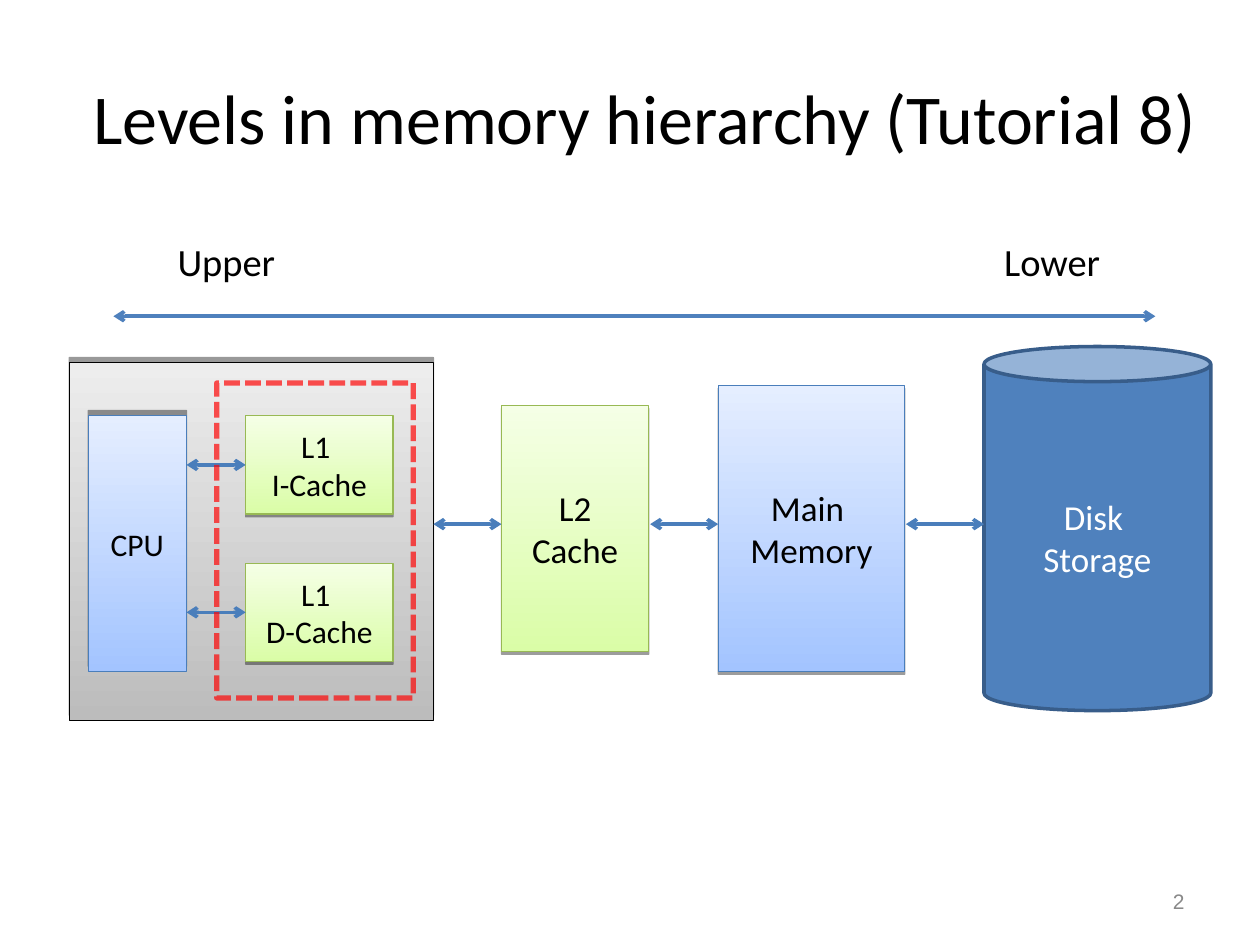
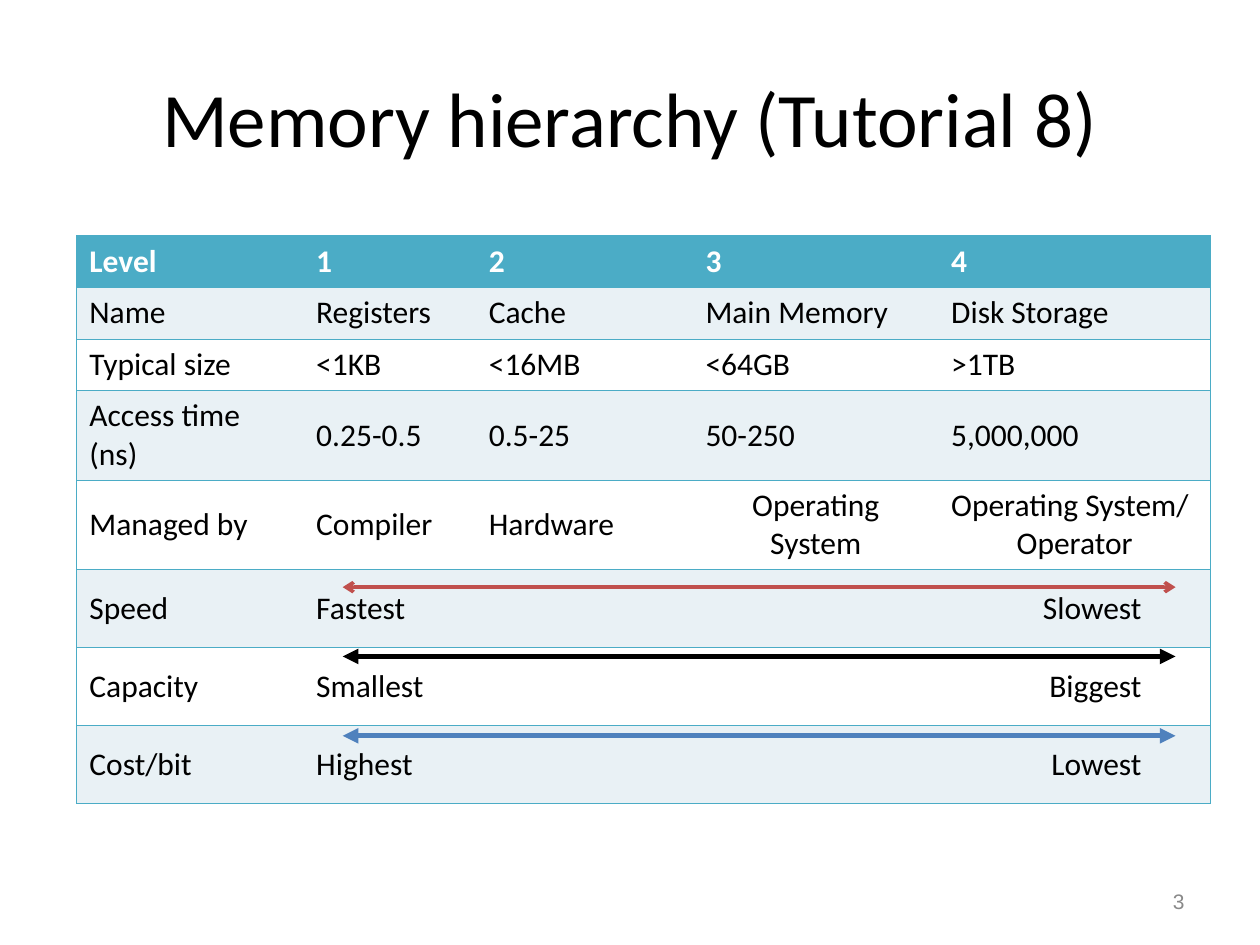
from lxml.etree import SubElement
from pptx import Presentation
from pptx.dml.color import RGBColor
from pptx.enum.dml import MSO_LINE
from pptx.enum.shapes import MSO_CONNECTOR, MSO_SHAPE
from pptx.enum.text import MSO_ANCHOR, MSO_AUTO_SIZE, PP_ALIGN
from pptx.oxml.ns import qn
from pptx.util import Inches, Pt

rgb = RGBColor.from_string
LEFT, CENTER, RIGHT = PP_ALIGN.LEFT, PP_ALIGN.CENTER, PP_ALIGN.RIGHT
BLACK, WHITE, GREY = "000000", "FFFFFF", "898989"
BLUE, LINK_BLUE, DARK_BLUE, RED = "4F81BD", "4A7EBB", "385D8A", "C0504D"
TEAL, PALE = "4BACC6", "E9F1F5"

# Box styles: gradient from bottom to top, then outline
GREY_BOX = ("BCBCBC", "EDEDED", BLACK)
BLUE_BOX = ("A3C4FF", "E5EEFF", LINK_BLUE)
GREEN_BOX = ("DAFDA7", "F5FFE6", "98B954")

# Shadow styles: opacity in percent, distance in points, direction in degrees
SHADOW_UP = (40, 3, 270)
SHADOW_DOWN = (38, 1.6, 90)


def write(tf, text, size, colour=BLACK, align=CENTER, font="Calibri", bold=False):
    tf.vertical_anchor = MSO_ANCHOR.MIDDLE
    for i, line in enumerate(text.split("\n")):
        p = tf.add_paragraph() if i else tf.paragraphs[0]
        p.alignment = align
        r = p.add_run()
        r.text = line
        r.font.name, r.font.size, r.font.bold = font, Pt(size), bold
        r.font.color.rgb = rgb(colour)


def arrow(s, x1, x2, y, colour=LINK_BLUE, width=2, end="arrow"):
    c = s.shapes.add_connector(MSO_CONNECTOR.STRAIGHT, Inches(x1), Inches(y),
                               Inches(x2), Inches(y))
    c.line.color.rgb = rgb(colour)
    c.line.width = Pt(width)
    ln = c.line._get_or_add_ln()
    for tag in ("a:headEnd", "a:tailEnd"):
        SubElement(ln, qn(tag), type=end)
    SubElement(c._element.spPr, qn("a:effectLst"))


prs = Presentation()
prs.slide_width, prs.slide_height = Inches(10), Inches(7.5)

# Shared frame: title and page number
for title, size, width, number in [
    ("Levels in memory hierarchy (Tutorial 8)", 40, 9.23, "2"),
    ("Memory hierarchy (Tutorial 8)", 44, 9, "3"),
]:
    s = prs.slides.add_slide(prs.slide_layouts[5])
    t = s.shapes.title
    t.left, t.top, t.width, t.height = Inches(0.5), Inches(0.3), Inches(width), Inches(1.25)
    t.text_frame.auto_size = MSO_AUTO_SIZE.NONE
    write(t.text_frame, title, size)
    tb = s.shapes.add_textbox(Inches(7.17), Inches(6.95), Inches(2.33), Inches(0.4))
    tb.text_frame.word_wrap = True
    write(tb.text_frame, number, 12, GREY, RIGHT, "Arial")

levels, summary = prs.slides

# Levels: boxes of the hierarchy
for text, size, x, y, w, h, style, shadow in [
    ("", 18, 0.55, 2.88, 2.89, 2.84, GREY_BOX, SHADOW_UP),
    ("CPU", 18, 0.7, 3.3, 0.78, 2.03, BLUE_BOX, SHADOW_UP),
    ("L1 \nI-Cache", 18, 1.95, 3.3, 1.17, 0.78, GREEN_BOX, SHADOW_DOWN),
    ("L1 \nD-Cache", 18, 1.95, 4.47, 1.17, 0.78, GREEN_BOX, SHADOW_DOWN),
    ("L2\nCache", 20, 3.98, 3.22, 1.17, 1.95, GREEN_BOX, SHADOW_DOWN),
    ("Main \nMemory", 20, 5.7, 3.06, 1.48, 2.27, BLUE_BOX, SHADOW_DOWN),
]:
    bottom, top, outline = style
    opacity, distance, direction = shadow
    box = levels.shapes.add_shape(MSO_SHAPE.RECTANGLE, Inches(x), Inches(y),
                                  Inches(w), Inches(h))
    box.shadow.inherit = False
    box.fill.gradient()
    box.fill.gradient_angle = 90
    for stop, colour, position in zip(box.fill.gradient_stops, (bottom, top), (0, 1)):
        stop.color.rgb = rgb(colour)
        stop.position = position
    box.line.color.rgb = rgb(outline)
    box.line.width = Pt(0.75)
    effects = box._element.spPr.find(qn("a:effectLst"))
    outer = SubElement(effects, qn("a:outerShdw"), blurRad="0", dist=str(Pt(distance)),
                       dir=str(direction * 60000), rotWithShape="0")
    clr = SubElement(outer, qn("a:srgbClr"), val=BLACK)
    SubElement(clr, qn("a:alpha"), val=str(opacity * 1000))
    if text:
        box.text_frame.word_wrap = not text.startswith("L1")
        write(box.text_frame, text, size)

# Levels: disk
disk = levels.shapes.add_shape(MSO_SHAPE.CAN, Inches(7.81), Inches(2.75),
                               Inches(1.8), Inches(2.89))
disk.adjustments[0] = 0.155
disk.shadow.inherit = False
disk.fill.solid()
disk.fill.fore_color.rgb = rgb(BLUE)
disk.line.color.rgb = rgb(DARK_BLUE)
disk.line.width = Pt(2)
write(disk.text_frame, "Disk \nStorage", 20, WHITE)

# Levels: links between neighbours
for y in (3.69, 4.86):
    arrow(levels, 1.48, 1.95, y)
for x1, x2 in ((3.44, 3.98), (5.16, 5.7), (7.19, 7.81)):
    arrow(levels, x1, x2, 4.16)

# Levels: dashed frame around the L1 caches
frame = levels.shapes.add_shape(MSO_SHAPE.RECTANGLE, Inches(1.72), Inches(3.04),
                                Inches(1.56), Inches(2.5))
frame.shadow.inherit = False
frame.fill.background()
frame.line.color.rgb = rgb("FF0000")
frame.line.width = Pt(3)
frame.line.dash_style = MSO_LINE.SQUARE_DOT
clr = frame._element.spPr.find(".//" + qn("a:srgbClr"))
SubElement(clr, qn("a:alpha"), val="68000")

# Levels: scale from upper to lower
arrow(levels, 0.9, 9.17, 2.51, BLUE)
for text, x, w in (("Upper", 1.41, 0.8), ("Lower", 7.97, 0.88)):
    tb = levels.shapes.add_textbox(Inches(x), Inches(1.89), Inches(w), Inches(0.37))
    tf = tb.text_frame
    tf.margin_left = tf.margin_right = tf.margin_top = tf.margin_bottom = 0
    write(tf, text, 22, align=LEFT)

# Summary: table, with the last three rows merged into a range
rows = [
    ("Level", "1", "2", "3", "4"),
    ("Name", "Registers", "Cache", "Main Memory", "Disk Storage"),
    ("Typical size", "<1KB", "<16MB", "<64GB", ">1TB"),
    ("Access time (ns)", "0.25-0.5", "0.5-25", "50-250", "5,000,000"),
    ("Managed by", "Compiler", "Hardware", "Operating System", "Operating System/\nOperator"),
    ("Speed", "Fastest\tSlowest"),
    ("Capacity", "Smallest\tBiggest"),
    ("Cost/bit", "Highest\tLowest"),
]
widths = (1.8, 1.37, 1.72, 1.95, 2.16)
heights = (0.41, 0.41, 0.41, 0.71, 0.71, 0.62, 0.62, 0.62)
table = summary.shapes.add_table(len(rows), len(widths), Inches(0.61), Inches(1.87),
                                 Inches(sum(widths)), Inches(sum(heights))).table
for column, w in zip(table.columns, widths):
    column.width = Inches(w)
for i, (values, h) in enumerate(zip(rows, heights)):
    table.rows[i].height = Inches(h)
    is_range = len(values) == 2
    if is_range:
        table.cell(i, 1).merge(table.cell(i, 4))
    for j in range(len(widths)):
        cell = table.cell(i, j)
        cell.vertical_anchor = MSO_ANCHOR.MIDDLE
        tcPr = cell._tc.get_or_add_tcPr()
        at_right = j + cell.span_width == len(widths)
        for side, shown in (("L", j == 0), ("R", at_right), ("T", True), ("B", True)):
            ln = SubElement(tcPr, qn("a:ln" + side), w=str(Pt(0.45)))
            if shown:
                SubElement(SubElement(ln, qn("a:solidFill")), qn("a:srgbClr"), val=TEAL)
            else:
                SubElement(ln, qn("a:noFill"))
        cell.fill.solid()
        cell.fill.fore_color.rgb = rgb(TEAL if i == 0 else PALE if i % 2 else WHITE)
        if j < len(values):
            write(cell.text_frame, values[j], 18, BLACK if i else WHITE, LEFT, bold=i == 0)
        if is_range and j == 1:
            pPr = cell.text_frame.paragraphs[0]._p.get_or_add_pPr()
            tabs = SubElement(pPr, qn("a:tabLst"))
            SubElement(tabs, qn("a:tab"), pos=str(Inches(6.55)), algn="r")
table.cell(4, 3).text_frame.paragraphs[0].alignment = CENTER
table.cell(4, 4).text_frame.paragraphs[1].alignment = CENTER

# Summary: arrows over the ranges
for y, colour, width, end in [
    (4.66, RED, 2, "arrow"),
    (5.21, BLACK, 3, "triangle"),
    (5.84, BLUE, 3, "triangle"),
]:
    arrow(summary, 2.72, 9.33, y, colour, width, end)

prs.save("out.pptx")
